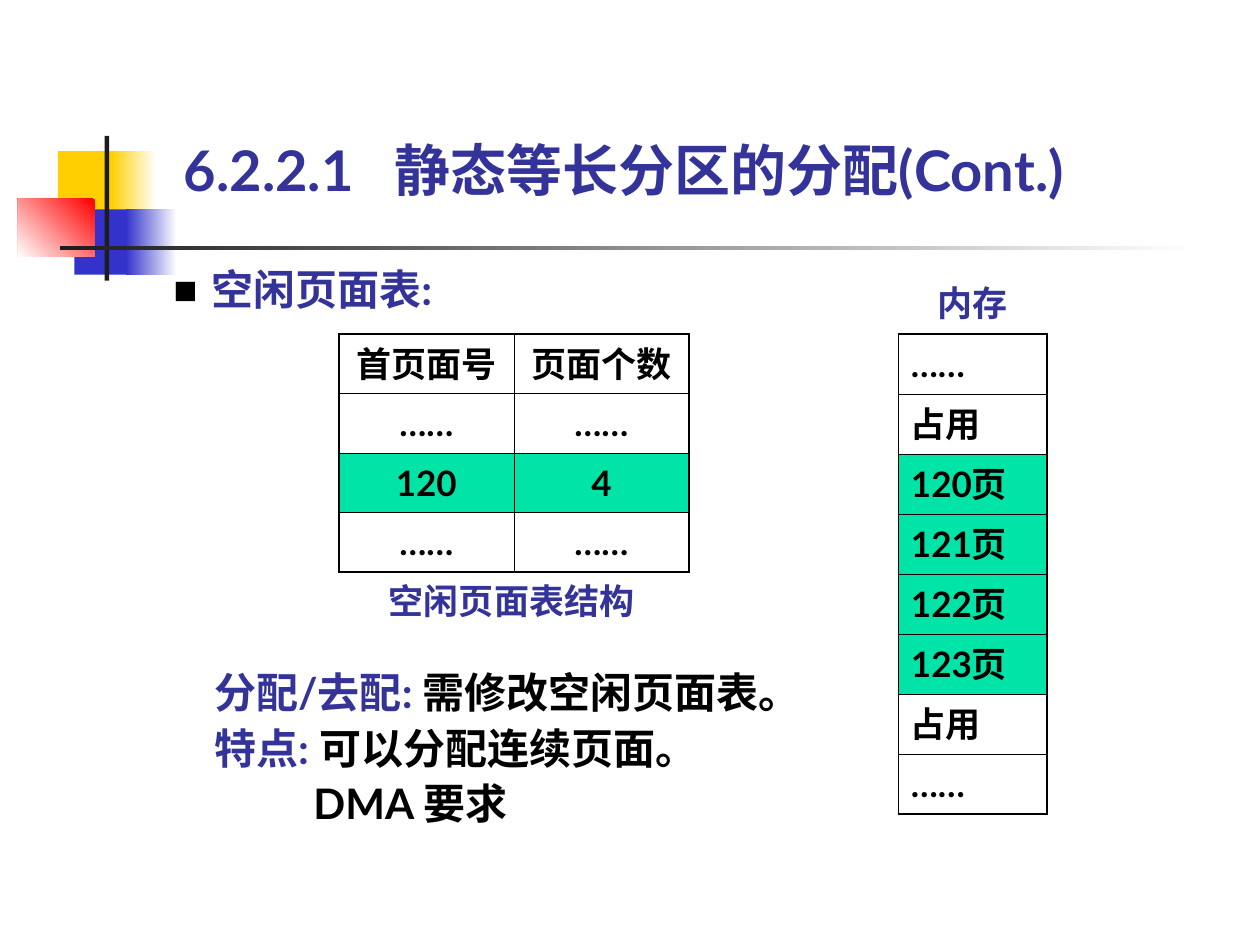
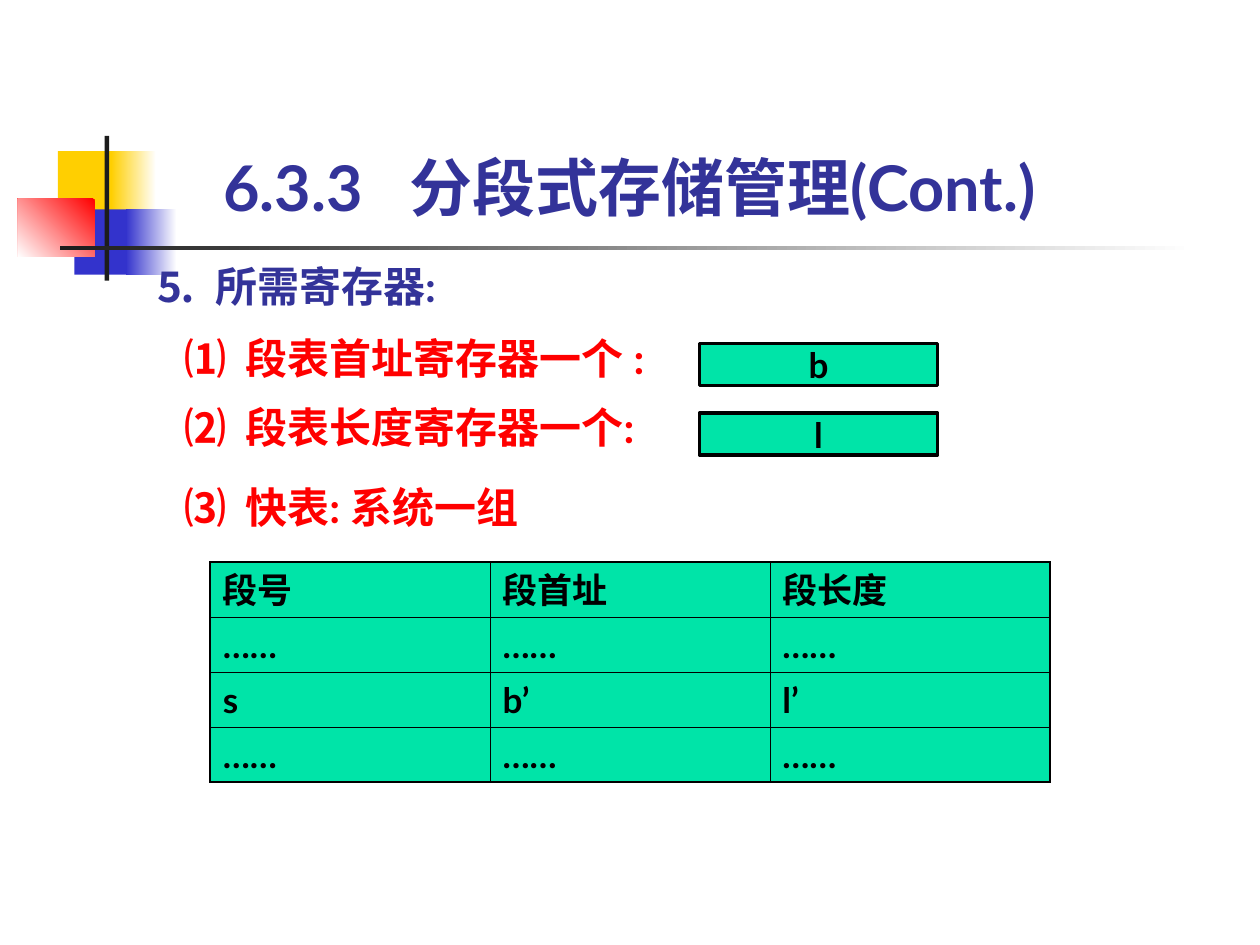
from dataclasses import dataclass

from lxml.etree import SubElement
from pptx import Presentation
from pptx.dml.color import RGBColor
from pptx.enum.shapes import MSO_SHAPE as Shape
from pptx.enum.text import MSO_ANCHOR as Anchor, MSO_AUTO_SIZE as AutoSize, PP_ALIGN as Align
from pptx.oxml.ns import qn
from pptx.util import Cm, Pt


@dataclass(frozen=True)
class Theme:
    font: str = "Lato"
    navy: str = "333399"
    black: str = "000000"
    red: str = "FF0000"
    green: str = "00E4A8"
    white: str = "FFFFFF"
    yellow: str = "FFCF01"
    blue: str = "3333CC"
    charcoal: str = "1C1C1C"
    body_size: int = 24
    label_size: int = 20
    outer_border: float = 1.08
    inner_border: float = 0.45


THEME = Theme()


def rgb(color):
    return RGBColor.from_string(color)


# Text helpers
def format_run(run, size, color):
    font = run.font
    font.name, font.size, font.bold = THEME.font, Pt(size), True
    font.color.rgb = rgb(color)
    SubElement(run.font._element, qn("a:ea"), typeface=THEME.font)


def format_frame(text_frame, size, color, align=None):
    for paragraph in text_frame.paragraphs:
        paragraph.alignment = align
        for run in paragraph.runs:
            format_run(run, size, color)


def clear_margins(text_frame):
    text_frame.margin_left = text_frame.margin_right = 0
    text_frame.margin_top = text_frame.margin_bottom = 0


def add_text(slide, box, text, size, color, anchor=Anchor.TOP, align=None):
    text_frame = slide.shapes.add_textbox(*map(Cm, box)).text_frame
    clear_margins(text_frame)
    text_frame.word_wrap = True
    text_frame.auto_size = AutoSize.SHAPE_TO_FIT_TEXT
    text_frame.vertical_anchor = anchor
    text_frame.text = text
    format_frame(text_frame, size, color, align)
    return text_frame


def add_tab_stop(paragraph, position):
    tabs = SubElement(paragraph._p.get_or_add_pPr(), qn("a:tabLst"))
    SubElement(tabs, qn("a:tab"), pos=str(Cm(position)), algn="l")


def add_numbered(slide, box, text, size, color, tab, anchor=Anchor.TOP):
    """Number, tab, then the wording."""
    paragraph = add_text(slide, box, text, size, color, anchor).paragraphs[0]
    add_tab_stop(paragraph, tab)
    return paragraph


def add_square_bullet(paragraph, indent):
    properties = paragraph._p.get_or_add_pPr()
    properties.set("marL", str(Cm(indent)))
    properties.set("indent", str(-Cm(indent)))
    bullet_color = SubElement(properties, qn("a:buClr"))
    SubElement(bullet_color, qn("a:srgbClr"), val=THEME.black)
    SubElement(properties, qn("a:buSzPct"), val="60000")
    SubElement(properties, qn("a:buFont"), typeface=THEME.font)
    SubElement(properties, qn("a:buChar"), char="■")


def add_labelled_lines(slide, box, lines):
    text_frame = add_text(slide, box, "", THEME.body_size, THEME.black)
    for index, (label, wording) in enumerate(lines):
        paragraph = text_frame.add_paragraph() if index else text_frame.paragraphs[0]
        paragraph.line_spacing = 1.1
        for text, color in ((label, THEME.navy), (wording, THEME.black)):
            if text:
                run = paragraph.add_run()
                run.text = text
                format_run(run, THEME.body_size, color)
    return text_frame


# Shapes
def add_rectangle(slide, box, color, gradient_end=None, angle=180):
    shape = slide.shapes.add_shape(Shape.RECTANGLE, *map(Cm, box))
    shape.shadow.inherit = False
    shape.line.fill.background()
    if gradient_end:
        shape.fill.gradient()
        shape.fill.gradient_angle = angle
        for stop, stop_color in zip(shape.fill.gradient_stops, (color, gradient_end)):
            stop.color.rgb = rgb(stop_color)
    else:
        shape.fill.solid()
        shape.fill.fore_color.rgb = rgb(color)
    return shape


def add_register(slide, box, text):
    shape = add_rectangle(slide, box, THEME.green)
    shape.line.color.rgb = rgb(THEME.black)
    shape.line.width = Pt(2)
    clear_margins(shape.text_frame)
    shape.text_frame.text = text
    format_frame(shape.text_frame, THEME.label_size, THEME.black, Align.CENTER)


def add_ornament(slide):
    """Coloured squares and the crossing rules beside the title."""
    add_rectangle(slide, (1.17, 3.05, 1.22, 1.32), THEME.yellow)
    add_rectangle(slide, (2.24, 3.05, 0.91, 1.32), THEME.white, THEME.yellow)
    add_rectangle(slide, (1.5, 4.22, 1.17, 1.32), THEME.blue)
    add_rectangle(slide, (2.54, 4.22, 1.02, 1.32), THEME.white, THEME.blue)
    add_rectangle(slide, (0.36, 4.01, 1.55, 1.17), THEME.red, THEME.white, angle=225)
    add_rectangle(slide, (2.11, 2.74, 0.09, 2.92), THEME.charcoal)
    add_rectangle(slide, (1.22, 4.95, 22.86, 0.09), THEME.white, THEME.charcoal)


# Tables
def set_borders(cell, outer_sides):
    properties = cell._tc.get_or_add_tcPr()
    for side in "LRTB":
        width = THEME.outer_border if side in outer_sides else THEME.inner_border
        line = SubElement(properties, qn(f"a:ln{side}"), w=str(Pt(width)))
        fill = SubElement(line, qn("a:solidFill"))
        SubElement(fill, qn("a:srgbClr"), val=THEME.black)


def add_grid(slide, left, top, column_width, row_height, rows, green_rows, align=None):
    row_count, column_count = len(rows), len(rows[0])
    table = slide.shapes.add_table(
        row_count, column_count, Cm(left), Cm(top),
        Cm(column_width * column_count), Cm(row_height * row_count)).table
    table.first_row = table.horz_banding = False
    for column in table.columns:
        column.width = Cm(column_width)
    for r, texts in enumerate(rows):
        table.rows[r].height = Cm(row_height)
        for c, text in enumerate(texts):
            cell = table.cell(r, c)
            edges = {"L": c == 0, "R": c == column_count - 1,
                     "T": r == 0, "B": r == row_count - 1}
            set_borders(cell, [side for side, is_outer in edges.items() if is_outer])
            if r in green_rows:
                cell.fill.solid()
                cell.fill.fore_color.rgb = rgb(THEME.green)
            else:
                cell.fill.background()
            cell.vertical_anchor = Anchor.MIDDLE
            cell.text = text
            format_frame(cell.text_frame, THEME.label_size, THEME.black, align)


# Slides
def new_slide(presentation):
    slide = presentation.slides.add_slide(presentation.slide_layouts[6])
    add_ornament(slide)
    return slide


def build_free_page_slide(presentation):
    slide = new_slide(presentation)
    add_numbered(slide, (3.71, 2.74, 19.6, 1.35), "6.2.2.1\t静态等长分区的分配(Cont.)",
                 32, THEME.navy, 4.24, Anchor.BOTTOM)
    heading = add_text(slide, (3.5, 5.31, 6.8, 1.02), "空闲页面表:",
                       THEME.body_size, THEME.navy, Anchor.BOTTOM)
    add_square_bullet(heading.paragraphs[0], 0.76)

    # Free page table and memory column
    dots = "……"
    add_grid(slide, 6.83, 6.73, 3.53, 1.2,
             [("首页面号", "页面个数"), (dots, dots), ("120", "4"), (dots, dots)],
             green_rows=[2], align=Align.CENTER)
    pages = [f"{number}页" for number in range(120, 124)]
    memory = [dots, "占用", *pages, "占用", dots]
    add_grid(slide, 18.11, 6.73, 3, 1.21, [(text,) for text in memory],
             green_rows=range(2, 6))
    for box, caption, align in (
            ((18.9, 5.54, 1.6, 0.99), "内存", None),
            ((6.91, 11.53, 6.81, 0.99), "空闲页面表结构", Align.CENTER)):
        add_text(slide, box, caption, THEME.label_size, THEME.navy, Anchor.BOTTOM, align)

    # Remarks
    remarks = add_labelled_lines(slide, (4.32, 13.34, 12.78, 3.35), [
        ("分配/去配: ", "需修改空闲页面表。"),
        ("特点: ", "可以分配连续页面。"),
        ("", "DMA 要求"),
    ])
    remarks.paragraphs[-1]._p.get_or_add_pPr().set("marL", str(Cm(2)))


def build_register_slide(presentation):
    slide = new_slide(presentation)
    title = add_numbered(slide, (4.5, 3.23, 17.6, 1.3), "6.3.3\t分段式存储管理(Cont.)",
                         36, THEME.navy, 3.75, Anchor.BOTTOM)
    title.line_spacing = 0.85
    add_numbered(slide, (3.12, 5.26, 6.17, 1.02), "⒌\t所需寄存器:",
                 THEME.body_size, THEME.navy, 1.22)

    # Required registers
    items = [(6.7, "⑴\t段表首址寄存器一个 :"),
             (8.1, "⑵\t段表长度寄存器一个:"),
             (9.7, "⑶\t快表: 系统一组")]
    for top, text in items:
        add_numbered(slide, (3.73, top, 9.78, 1.02), text, THEME.body_size, THEME.red, 1.22)
    for (top, _), register in zip(items, "bl"):
        add_register(slide, (14.1, top + 0.23, 4.8, 0.84), register)

    # Fast table
    dots = ("……",) * 3
    add_grid(slide, 4.24, 11.33, 5.64, 1.11,
             [("段号", "段首址", "段长度"), dots, ("s", "b’", "l’"), dots],
             green_rows=range(4))


def main():
    presentation = Presentation()
    presentation.slide_width, presentation.slide_height = Cm(25.4), Cm(19.05)
    build_free_page_slide(presentation)
    build_register_slide(presentation)
    presentation.save("out.pptx")


if __name__ == "__main__":
    main()
